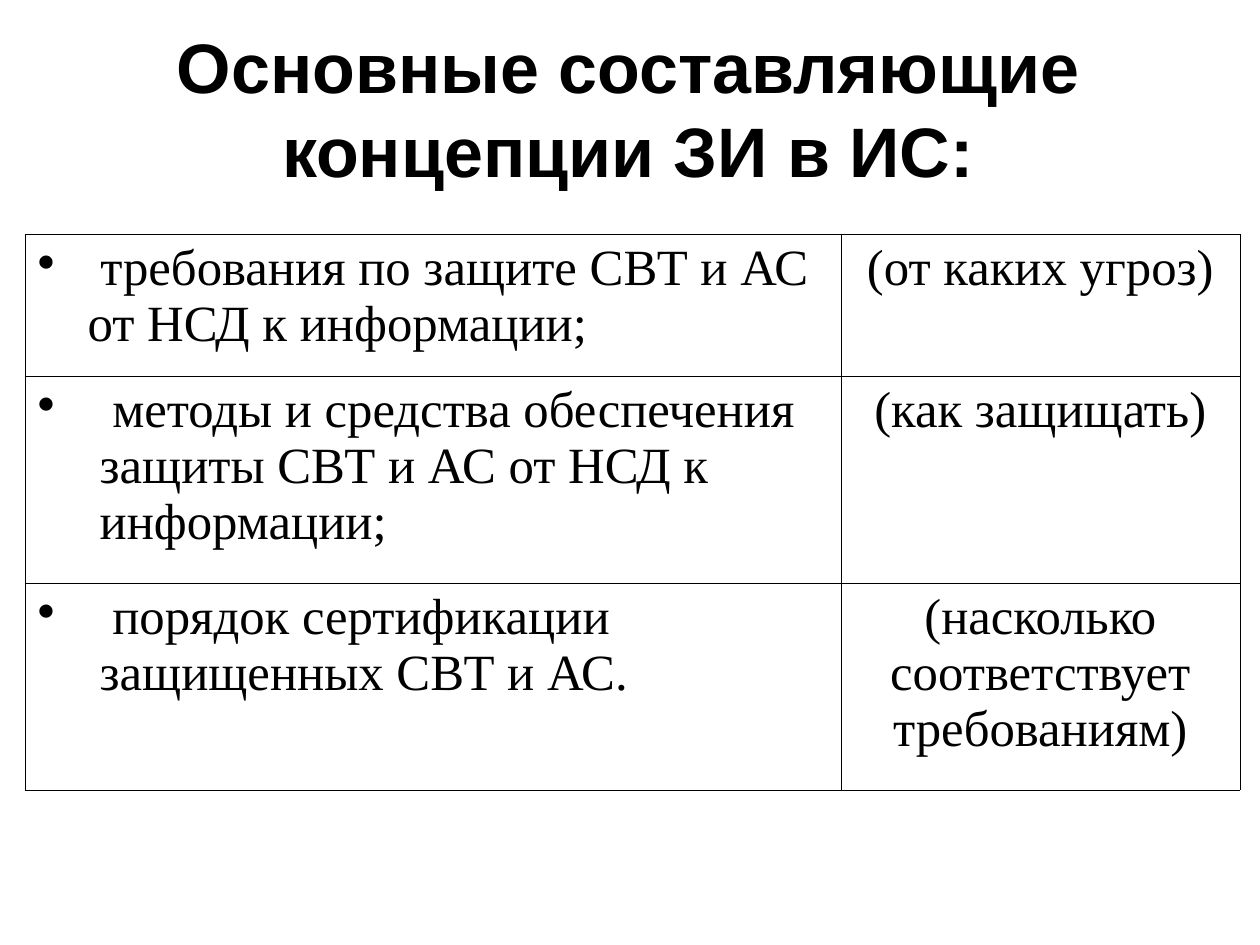
import pptx
import pptx.dml.color
import pptx.enum.text
import pptx.util
from dataclasses import dataclass
from lxml import etree
from pptx.oxml.ns import qn

EMU_PER_PX = 914400 / 126
ALIGN = pptx.enum.text.PP_ALIGN
ANCHOR = pptx.enum.text.MSO_ANCHOR


def px(length):
    return pptx.util.Emu(round(length * EMU_PER_PX))


@dataclass(frozen=True)
class Theme:
    ink: str = "000000"
    title_font: str = "Arial"
    body_font: str = "Times New Roman"
    title_size: float = 40
    title_leading: float = 48
    body_size: float = 29
    body_leading: float = 32
    border_width: float = 0.45


class SlideBuilder:
    def __init__(self, presentation, theme):
        self.theme = theme
        self.slide = presentation.slides.add_slide(presentation.slide_layouts[5])

    def format_text(self, paragraph, font_name, size, leading, bold=False):
        paragraph.line_spacing = pptx.util.Pt(leading)
        for run in paragraph.runs:
            run.font.name = font_name
            run.font.size = pptx.util.Pt(size)
            run.font.bold = bold
            run.font.color.rgb = pptx.dml.color.RGBColor.from_string(self.theme.ink)

    def title(self, text, left, top, width, height):
        theme = self.theme
        shape = self.slide.shapes.title
        shape.left, shape.top = px(left), px(top)
        shape.width, shape.height = px(width), px(height)
        frame = shape.text_frame
        frame.text = text
        frame.word_wrap = True
        frame.auto_size = pptx.enum.text.MSO_AUTO_SIZE.NONE
        frame.vertical_anchor = ANCHOR.MIDDLE
        frame.margin_top = frame.margin_bottom = 0
        paragraph = frame.paragraphs[0]
        paragraph.alignment = ALIGN.CENTER
        self.format_text(paragraph, theme.title_font, theme.title_size,
                         theme.title_leading, bold=True)

    def bullet(self, paragraph, indent):
        properties = paragraph._p.get_or_add_pPr()
        properties.set("marL", str(px(indent)))
        properties.set("indent", str(-px(indent)))
        color = etree.SubElement(properties, qn("a:buClr"))
        etree.SubElement(color, qn("a:srgbClr"), val=self.theme.ink)
        etree.SubElement(properties, qn("a:buChar"), char="•")

    def border(self, cell):
        properties = cell._tc.get_or_add_tcPr()
        width = str(pptx.util.Pt(self.theme.border_width))
        for side in ("a:lnL", "a:lnR", "a:lnT", "a:lnB"):
            line = etree.SubElement(properties, qn(side), w=width)
            fill = etree.SubElement(line, qn("a:solidFill"))
            etree.SubElement(fill, qn("a:srgbClr"), val=self.theme.ink)

    def cell(self, cell, text, indent=None):
        theme = self.theme
        self.border(cell)
        cell.fill.background()
        cell.vertical_anchor = ANCHOR.TOP
        cell.text_frame.text = text
        paragraph = cell.text_frame.paragraphs[0]
        if indent is None:
            paragraph.alignment = ALIGN.CENTER
        else:
            self.bullet(paragraph, indent)
        self.format_text(paragraph, theme.body_font, theme.body_size, theme.body_leading)

    def table(self, rows, left, top, column_widths, row_heights):
        table = self.slide.shapes.add_table(
            len(rows), len(column_widths), px(left), px(top),
            px(sum(column_widths)), px(sum(row_heights))).table
        table.first_row = table.horz_banding = False
        for column, width in zip(table.columns, column_widths):
            column.width = px(width)
        for row, height in zip(table.rows, row_heights):
            row.height = px(height)
        for index, (component, indent, question) in enumerate(rows):
            self.cell(table.cell(index, 0), component, indent)
            self.cell(table.cell(index, 1), question)


def main():
    presentation = pptx.Presentation()
    presentation.slide_width, presentation.slide_height = px(1260), px(945)
    builder = SlideBuilder(presentation, Theme())

    # Heading
    builder.title("Основные составляющие концепции ЗИ в ИС:", 20, 22, 1216, 172)

    # Components (text and bullet indent) with the question each answers
    components = [
        (" требования по защите СВТ и АС от НСД к информации;", 50,
         "(от каких угроз)"),
        (" методы и средства обеспечения защиты СВТ и АС от НСД к информации;", 62,
         "(как защищать)"),
        (" порядок сертификации защищенных СВТ и АС.", 62,
         "(насколько соответствует требованиям)"),
    ]
    builder.table(components, 25, 234, [816, 399], [142, 207, 207])

    presentation.save("out.pptx")


if __name__ == "__main__":
    main()
